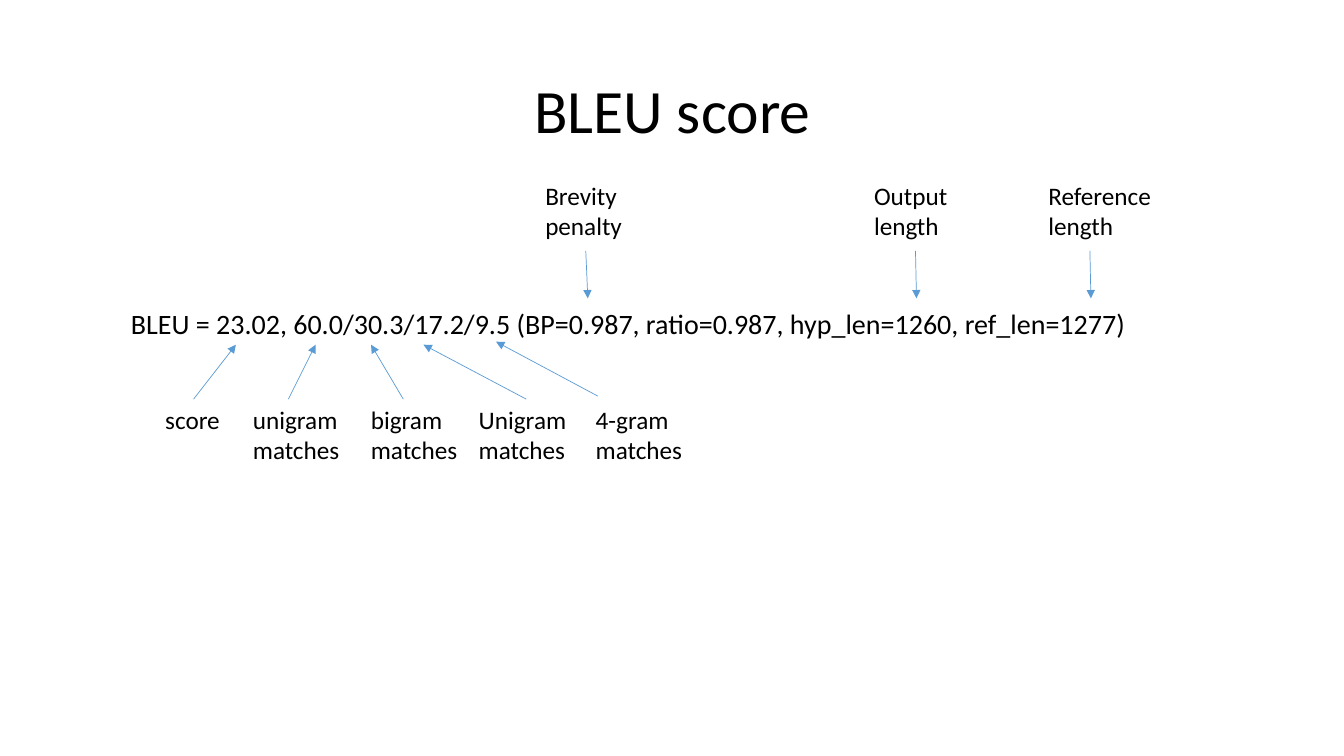
from lxml import etree
from pptx import Presentation
from pptx.dml.color import RGBColor
from pptx.enum.shapes import MSO_CONNECTOR
from pptx.enum.text import MSO_ANCHOR, MSO_AUTO_SIZE, PP_ALIGN
from pptx.oxml.ns import qn
from pptx.util import Inches, Pt

STRAIGHT = MSO_CONNECTOR.STRAIGHT
MIDDLE = MSO_ANCHOR.MIDDLE
GROW = MSO_AUTO_SIZE.SHAPE_TO_FIT_TEXT
FIXED = MSO_AUTO_SIZE.NONE
LEFT, CENTER = PP_ALIGN.LEFT, PP_ALIGN.CENTER

BLACK = RGBColor(0x00, 0x00, 0x00)
BLUE = RGBColor(0x5B, 0x9B, 0xD5)
FONT = "Calibri"

LABEL_HEIGHT = 0.71
UPPER_TOP, LOWER_TOP = 1.74, 3.96
UPPER_START, UPPER_END = 2.49, 2.96
LOWER_START, LOWER_END = 3.96, 3.42
LAST_RISE = 0.03

UPPER_LABELS = [
    ("Brevity\npenalty", 5.31, 0.97, 5.81, 5.83),
    ("Output \nlength", 8.57, 0.99, 9.08, 9.09),
    ("Reference\nlength", 10.3, 1.23, 10.81, 10.82),
]
LOWER_LABELS = [
    ("score", 1.54, 0.75, 1.92, 2.34, 0),
    ("unigram \nmatches", 2.41, 1.11, 2.86, 3.13, 0),
    ("bigram\nmatches", 3.58, 1.07, 4, 3.68, 0),
    ("Unigram \nmatches", 4.65, 1.14, 5.22, 4.2, 0),
    ("4-gram \nmatches", 5.81, 1.08, 5.93, 4.92, LAST_RISE),
]


def write(frame, text, size=18, align=LEFT, spacing=1.0):
    frame.text = text
    for paragraph in frame.paragraphs:
        paragraph.alignment = align
        paragraph.line_spacing = spacing
        for run in paragraph.runs:
            run.font.name = FONT
            run.font.size = Pt(size)
            run.font.color.rgb = BLACK


def place_title(slide, text):
    title = slide.shapes.title
    title.left, title.top = Inches(0.92), Inches(0.4)
    title.width, title.height = Inches(11.5), Inches(1.45)
    title.text_frame.auto_size = FIXED
    title.text_frame.vertical_anchor = MIDDLE
    write(title.text_frame, text, size=44, align=CENTER, spacing=0.9)


def add_text(slide, text, left, top, width, height, wrap=False, **text_format):
    box = slide.shapes.add_textbox(
        Inches(left), Inches(top), Inches(width), Inches(height))
    box.text_frame.word_wrap = wrap
    box.text_frame.auto_size = GROW
    write(box.text_frame, text, **text_format)


def add_arrow(slide, x1, y1, x2, y2):
    arrow = slide.shapes.add_connector(
        STRAIGHT, Inches(x1), Inches(y1), Inches(x2), Inches(y2))
    arrow.line.color.rgb = BLUE
    arrow.line.width = Pt(0.5)
    properties = arrow.line._get_or_add_ln()
    etree.SubElement(properties, qn("a:tailEnd"), type="triangle")
    etree.SubElement(arrow._element.spPr, qn("a:effectLst"))


def main():
    deck = Presentation()
    deck.slide_width, deck.slide_height = Inches(13.33), Inches(7.5)
    slide = deck.slides.add_slide(deck.slide_layouts[5])
    place_title(slide, "BLEU score")
    add_text(
        slide,
        "BLEU = 23.02, 60.0/30.3/17.2/9.5 "
        "(BP=0.987, ratio=0.987, hyp_len=1260, ref_len=1277)",
        1.2, 2.99, 11.52, 0.44, wrap=True, size=20)
    for label, left, width, start, end, rise in LOWER_LABELS:
        height = LABEL_HEIGHT if "\n" in label else 0.4
        add_arrow(slide, start, LOWER_START - rise, end, LOWER_END - rise)
        add_text(slide, label, left, LOWER_TOP, width, height)
    for label, left, width, start, end in UPPER_LABELS:
        add_arrow(slide, start, UPPER_START, end, UPPER_END)
        add_text(slide, label, left, UPPER_TOP, width, LABEL_HEIGHT)
    deck.save("out.pptx")


main()
